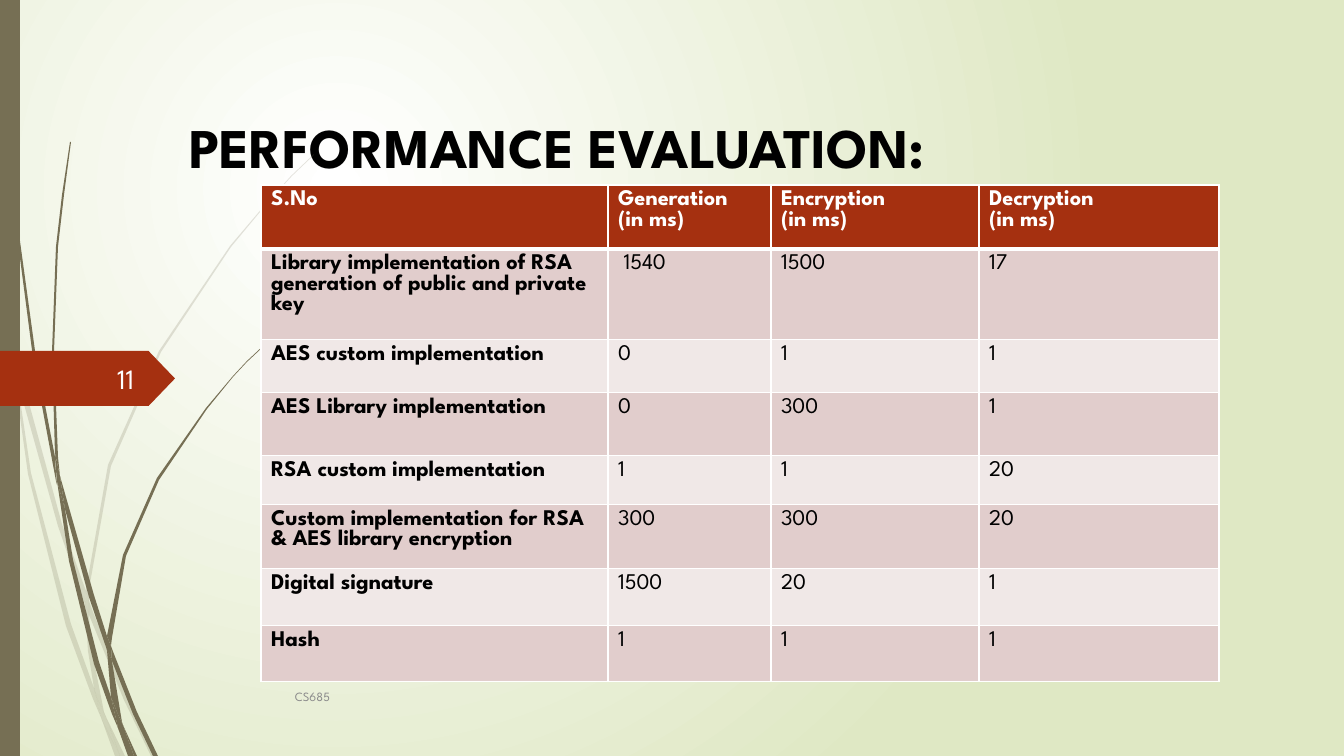
import lxml.etree
import pptx
import pptx.dml.color
import pptx.enum.shapes
import pptx.enum.text
import pptx.oxml.ns
import pptx.util

EMU = 914400 / 100.8
FONT = "League Spartan"
OLIVE, RUST = "766F54", "A53010"
ALIGN = pptx.enum.text.PP_ALIGN
ANCHOR = pptx.enum.text.MSO_ANCHOR
SHAPE = pptx.enum.shapes.MSO_SHAPE

PALE_GRASS = [
    [(11, 353), (9, 325), (0, 284), (0, 301), (10, 347)],
    [(58, 526), (85, 604), (86, 591), (62, 524), (14, 348), (17, 379)],
    [(93, 612), (89, 601), (89, 615), (124, 700), (151, 756), (156, 756), (128, 698)],
    [(120, 756), (125, 756), (106, 717)],
    [(94, 688), (71, 624), (31, 473), (17, 379), (11, 353), (28, 474), (66, 626),
     (93, 699), (102, 720), (100, 713)],
    [(85, 604), (88, 651), (94, 688), (97, 698), (106, 717), (104, 712), (92, 651),
     (89, 615), (89, 613)],
    [(89, 589), (111, 466), (161, 352), (231, 247), (270, 200), (292, 176), (314, 155),
     (314, 154), (291, 176), (270, 199), (230, 246), (159, 351), (108, 465), (86, 589),
     (86, 591), (89, 601)],
    [(102, 720), (115, 756), (120, 756)],
    [(89, 613), (89, 615), (89, 601), (86, 591), (85, 604)],
    [(97, 698), (94, 688), (100, 713), (102, 720), (120, 756), (106, 717)],
]
DARK_GRASS = [
    [(7, 111), (17, 235), (33, 358), (56, 481), (57, 485), (55, 461), (55, 457), (36, 358),
     (19, 234), (8, 110), (5, 48), (4, 0), (3, 0), (4, 48)],
    [(89, 597), (107, 650), (107, 638), (107, 636), (94, 595), (60, 476), (65, 509)],
    [(114, 654), (111, 646), (112, 661), (133, 714), (153, 756), (158, 756), (137, 712)],
    [(111, 697), (99, 662), (73, 560), (65, 509), (57, 481), (69, 561), (94, 664),
     (112, 714), (118, 728), (117, 723)],
    [(60, 476), (58, 457), (54, 352), (58, 247), (64, 195), (71, 142), (70, 142), (62, 195),
     (56, 247), (52, 352), (55, 453)],
    [(134, 756), (137, 756), (123, 725)],
    [(57, 481), (65, 509), (60, 476), (55, 453), (55, 457)],
    [(112, 638), (126, 556), (159, 480), (207, 409), (233, 377), (247, 362), (263, 347),
     (262, 347), (247, 361), (233, 376), (206, 408), (157, 478), (123, 555), (107, 636),
     (111, 646)],
    [(118, 728), (128, 756), (132, 756)],
    [(107, 650), (111, 697), (117, 712), (123, 725), (122, 722), (112, 661), (110, 656)],
    [(107, 650), (110, 656), (112, 661), (111, 646), (107, 636), (107, 638)],
    [(117, 712), (111, 697), (117, 723), (118, 728), (131, 756), (134, 756), (123, 725)],
]
COLUMNS = [347, 163, 208, 240]
ROWS = [56, 88, 53, 63, 49, 56, 57, 56]
RESULTS = [
    ["S.No", "Generation\n(in ms)", "Encryption\n(in ms)", "Decryption\n(in ms)"],
    ["Library implementation of RSA generation of public and private key", " 1540", "1500", "17"],
    ["AES custom implementation", "0", "1", "1"],
    ["AES Library implementation", "0", "300", "1"],
    ["RSA custom implementation", "1", "1", "20"],
    ["Custom implementation for RSA & AES library encryption", "300", "300", "20"],
    ["Digital signature", "1500", "20", "1"],
    ["Hash", "1", "1", "1"],
]


def px(*values):
    """Turn pixels into a list of EMU."""
    return [pptx.util.Emu(round(v * EMU)) for v in values]


def rgb(color):
    """Turn a hex string into a colour."""
    return pptx.dml.color.RGBColor.from_string(color)


def add_xml(parent, tag, **attrs):
    """Append a DrawingML element."""
    return lxml.etree.SubElement(parent, pptx.oxml.ns.qn("a:" + tag), attrs)


def paint(shape, color):
    """Give a shape a plain fill with no line or shadow."""
    shape.shadow.inherit = False
    shape.fill.solid()
    shape.fill.fore_color.rgb = rgb(color)
    shape.line.fill.background()


def write(tf, text, size, color, bold=False, align=ALIGN.LEFT):
    """Fill a text frame, one paragraph a line."""
    tf.text = text
    for p in tf.paragraphs:
        p.alignment = align
        p.font.size, p.font.bold = pptx.util.Pt(size), bold
        p.font.color.rgb = rgb(color)
        for font in (p.font, *(r.font for r in p.runs)):
            font.name = FONT


def add_blade(s, x, y, points, opacity):
    """Draw one piece of a grass blade."""
    outline = [px(x + dx, y + dy) for dx, dy in points]
    builder = s.shapes.build_freeform(*outline[0])
    builder.add_line_segments(outline[1:])
    blade = builder.convert_to_shape()
    paint(blade, OLIVE)
    if opacity < 100:
        color = blade.element.xpath("./p:spPr/a:solidFill/a:srgbClr")[0]
        add_xml(color, "alpha", val=str(opacity * 1000))


def add_backdrop(s, x, y, w, h):
    """Lay the glow, the grass blades and the side bar."""
    fill = s.background.fill
    fill.gradient()
    for stop, color in zip(fill.gradient_stops, ("FFFFFF", "DFE8C4")):
        stop.color.rgb = rgb(color)
    grad = s.element.xpath(".//a:gradFill")[0]
    for lin in grad.xpath("./a:lin"):
        grad.remove(lin)
    glow = add_xml(grad, "path", path="circle")
    add_xml(glow, "fillToRect", l="50000", t="50000", r="100000", b="100000")
    for blades, opacity in ((PALE_GRASS, 20), (DARK_GRASS, 100)):
        for points in blades:
            add_blade(s, x, y, points, opacity)
    paint(s.shapes.add_shape(SHAPE.RECTANGLE, *px(x, y, w, h)), OLIVE)


def add_label(s, x, y, w, h, text, size, color, align=ALIGN.LEFT):
    """Add a vertically centred line of text."""
    tf = s.shapes.add_textbox(*px(x, y, w, h)).text_frame
    tf.word_wrap, tf.vertical_anchor = True, ANCHOR.MIDDLE
    write(tf, text, size, color, align=align)


def add_page_tag(s, x, y, w, h, number):
    """Add the arrow tag with the page number."""
    tag = s.shapes.add_shape(SHAPE.PENTAGON, *px(x, y, w, h))
    tag.adjustments[0] = 0.48
    paint(tag, RUST)
    add_label(s, x + 58, y + 8, 86, h - 16, number, 20, "FEFFFF", ALIGN.RIGHT)


def add_title(s, x, y, w, h, text):
    """Place the title on the bottom of its box."""
    title = s.shapes.title
    title.left, title.top, title.width, title.height = px(x, y, w, h)
    tf = title.text_frame
    tf.auto_size, tf.word_wrap = pptx.enum.text.MSO_AUTO_SIZE.NONE, True
    tf.vertical_anchor = ANCHOR.BOTTOM
    write(tf, text, 40, "000000", bold=True)
    tf.paragraphs[0].line_spacing = 1.15


def set_borders(cell, bottom):
    """Draw white cell borders, with the bottom width in points."""
    tc_pr = cell._tc.get_or_add_tcPr()
    for side, width in (("L", 1), ("R", 1), ("T", 1), ("B", bottom)):
        ln = add_xml(tc_pr, "ln" + side, w=str(pptx.util.Pt(width)))
        add_xml(add_xml(ln, "solidFill"), "srgbClr", val="FFFFFF")


def add_results(s, x, y, w, h):
    """Add the table of timings."""
    table = s.shapes.add_table(len(ROWS), len(COLUMNS), *px(x, y, w, h)).table
    table.horz_banding = False
    for column, width in zip(table.columns, px(*COLUMNS)):
        column.width = width
    for i, (row, height) in enumerate(zip(table.rows, px(*ROWS))):
        row.height = height
        header = i == 0
        fill = RUST if header else ("F0E8E7", "E1CDCC")[i % 2]
        for j, cell in enumerate(row.cells):
            write(cell.text_frame, RESULTS[i][j], 16, "FFFFFF" if header else "000000",
                  bold=header or j == 0)
            set_borders(cell, 3 if header else 1)
            cell.fill.solid()
            cell.fill.fore_color.rgb = rgb(fill)


def main():
    """Build the slide and save it."""
    prs = pptx.Presentation()
    prs.slide_width, prs.slide_height = px(1344, 756)
    s = prs.slides.add_slide(prs.slide_layouts[5])
    add_backdrop(s, 0, 0, 20, 756)
    add_page_tag(s, 0, 351, 175, 55, "11")
    add_title(s, 179, 22, 1089, 163, "PERFORMANCE EVALUATION:")
    add_label(s, 285, 677, 840, 40, "CS685", 9, "8C8C8C")
    add_results(s, 261, 185, sum(COLUMNS), sum(ROWS))
    prs.save("out.pptx")


main()
